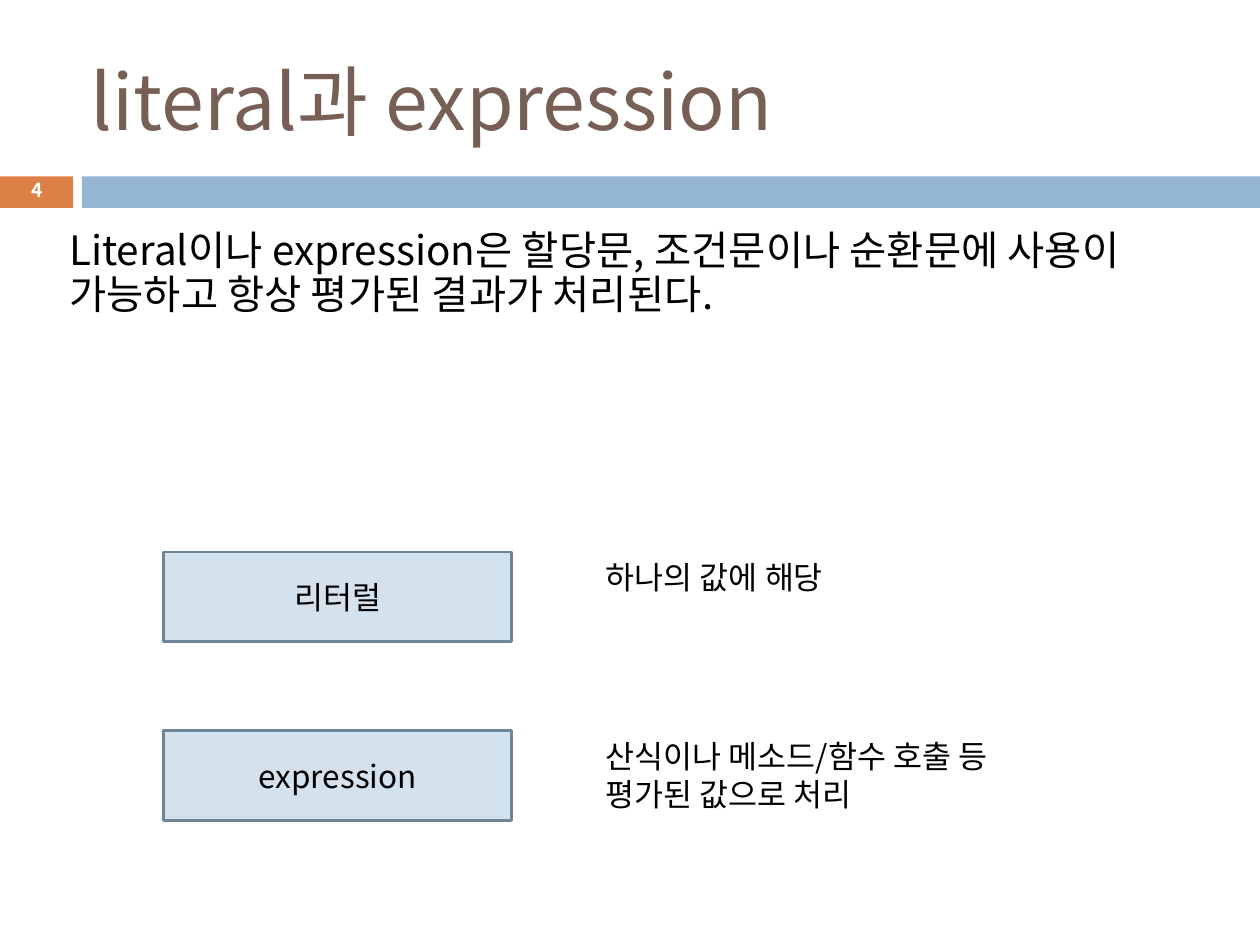
"""Build a slide that contrasts a literal with an expression."""
from pptx import Presentation
from pptx.dml.color import RGBColor
from pptx.enum.shapes import MSO_SHAPE
from pptx.enum.text import MSO_ANCHOR, PP_ALIGN
from pptx.oxml.ns import qn
from pptx.util import Inches, Pt

COLORS = {
    "title": "775F55",
    "text": "000000",
    "number": "FFFFFF",
    "accent": "DD8047",
    "band": "94B6D2",
    "box": "D4E2ED",
    "outline": "6C8599",
}
FONT = "Noto Sans CJK KR"


def add_rectangle(slide, area, fill, outline=None):
    shape = slide.shapes.add_shape(MSO_SHAPE.RECTANGLE, *map(Inches, area))
    shape.shadow.inherit = False
    shape.fill.solid()
    shape.fill.fore_color.rgb = RGBColor.from_string(COLORS[fill])
    if outline:
        shape.line.color.rgb = RGBColor.from_string(COLORS[outline])
        shape.line.width = Pt(1.5)
    else:
        shape.line.fill.background()
    return shape


def write_text(shape, text, size, color="text", anchor=MSO_ANCHOR.TOP, align=PP_ALIGN.LEFT, wrap=True):
    frame = shape.text_frame
    frame.word_wrap = wrap
    frame.vertical_anchor = anchor
    frame.margin_left = frame.margin_right = Inches(0.05)
    frame.margin_top = frame.margin_bottom = Inches(0.05)
    paragraph = frame.paragraphs[0]
    paragraph.alignment = align
    run = paragraph.add_run()
    run.text = text
    run.font.size = Pt(size)
    run.font.name = FONT
    run.font.color.rgb = RGBColor.from_string(COLORS[color])
    east_asian = run.font._element.makeelement(qn("a:ea"), {"typeface": FONT})
    run.font._element.find(qn("a:latin")).addnext(east_asian)
    return paragraph


presentation = Presentation()
presentation.slide_width = Inches(10)
presentation.slide_height = Inches(7.5)
slide = presentation.slides.add_slide(presentation.slide_layouts[6])

band_top, band_height = 1.4, 0.25
add_rectangle(slide, (0, band_top, 0.58, band_height), "accent")
add_rectangle(slide, (0.65, band_top, 9.35, band_height), "band")

title = slide.shapes.add_textbox(*map(Inches, (0.67, 0.25, 8.92, 1.08)))
write_text(title, "literal과 expression", 44, "title", MSO_ANCHOR.MIDDLE)

body = slide.shapes.add_textbox(*map(Inches, (0.5, 1.78, 9, 1.89)))
summary = write_text(
    body,
    "Literal이나 expression은 할당문, 조건문이나 순환문에 사용이 가능하고 항상 평가된 결과가 처리된다.",
    23.1,
)
summary.line_spacing = 0.9
summary.space_before = Pt(6)

number = slide.shapes.add_textbox(*map(Inches, (0.19, 1.37, 0.21, 0.3)))
number_line = write_text(number, "4", 11, "number", MSO_ANCHOR.MIDDLE, PP_ALIGN.CENTER, False)
number_line.line_spacing = 0.8
number_line.runs[0].font.bold = True

terms = [
    ("리터럴", "하나의 값에 해당"),
    ("expression", "산식이나 메소드/함수 호출 등 평가된 값으로 처리"),
]
first_row, row_pitch, row_height = 4.38, 1.42, 0.71
for row, (term, meaning) in enumerate(terms):
    top = first_row + row * row_pitch
    box = add_rectangle(slide, (1.3, top, 2.76, row_height), "box", "outline")
    write_text(box, term, 18, anchor=MSO_ANCHOR.MIDDLE, align=PP_ALIGN.CENTER)
    description = slide.shapes.add_textbox(*map(Inches, (4.76, top, 3.7, row_height)))
    write_text(description, meaning, 18)

presentation.save("out.pptx")
